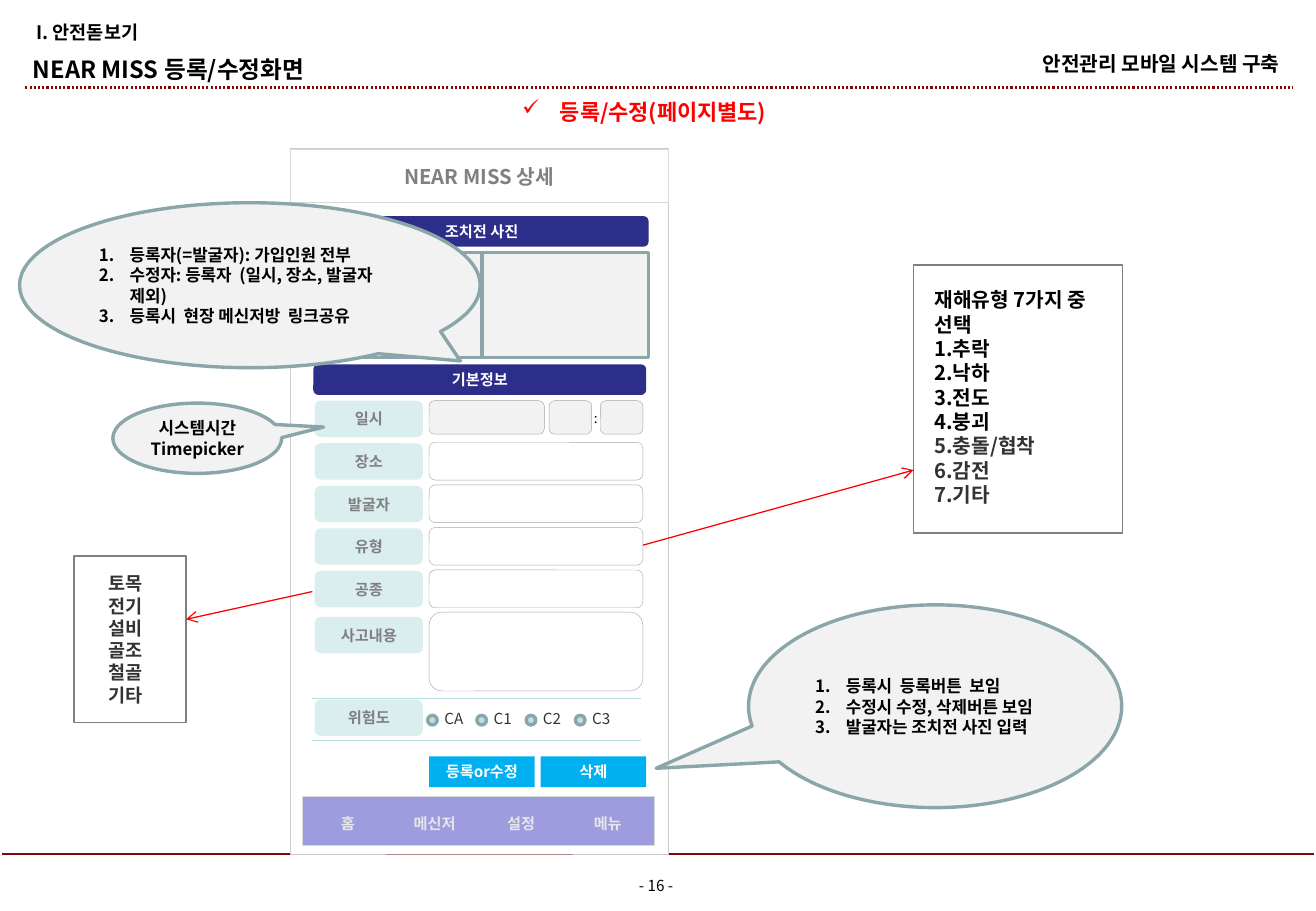
from dataclasses import dataclass, replace
from typing import Optional

from lxml.etree import SubElement
from pptx import Presentation
from pptx.dml.color import RGBColor
from pptx.enum.dml import MSO_LINE
from pptx.enum.shapes import MSO_CONNECTOR, MSO_SHAPE
from pptx.enum.text import MSO_ANCHOR, MSO_AUTO_SIZE, PP_ALIGN
from pptx.oxml.ns import qn
from pptx.util import Cm, Pt

FONT = "Noto Sans CJK KR"
COLORS = {
    "black": "000000", "white": "FFFFFF", "red": "FF0000", "maroon": "7D0905",
    "ink": "333333", "gray": "808080", "field": "A6A6A6", "frame": "CCCCCC",
    "header": "D9D9D9", "nav": "9C9CDF", "nav_text": "E6E6E6", "navy": "2D2D8A",
    "sky": "00B0F0", "label": "DAEDEF", "pale": "F2F2F2", "teal": "8AA6A8",
    "rule": "B6DCDF", "radio": "BBE0E3",
}


@dataclass(frozen=True)
class Area:
    left: float
    top: float
    width: float
    height: float


@dataclass(frozen=True)
class Style:
    size: float
    color: str = "black"
    bold: bool = True
    align: PP_ALIGN = PP_ALIGN.LEFT
    anchor: MSO_ANCHOR = MSO_ANCHOR.TOP
    margins: bool = True
    spacing: float = 1.0
    bullet: str = ""
    indent: float = 0


@dataclass(frozen=True)
class Look:
    fill: Optional[str] = None
    line: Optional[str] = None
    weight: float = 0


@dataclass(frozen=True)
class Callout:
    area: Area
    tip: tuple[float, float]
    lines: list[str]
    style: Style


def rgb(name: str) -> RGBColor:
    return RGBColor.from_string(COLORS[name])


def write(box, lines: list[str], style: Style, late_color: str = "", late_from: int = 0) -> None:
    frame = box.text_frame
    frame.auto_size = MSO_AUTO_SIZE.NONE
    frame.word_wrap = True
    frame.vertical_anchor = style.anchor
    if not style.margins:
        frame.margin_left = frame.margin_right = frame.margin_top = frame.margin_bottom = 0
    for number, line in enumerate(lines):
        para = frame.paragraphs[0] if number == 0 else frame.add_paragraph()
        para.text = line
        para.alignment = style.align
        para.line_spacing = style.spacing
        para.space_before = para.space_after = Pt(0)
        properties = para._p.get_or_add_pPr()
        properties.set("marL", str(Cm(style.indent)))
        properties.set("indent", str(-Cm(style.indent)))
        if style.bullet == "number":
            SubElement(properties, qn("a:buFont"), typeface="+mj-lt")
            SubElement(properties, qn("a:buAutoNum"), type="arabicPeriod")
        elif style.bullet:
            SubElement(properties, qn("a:buChar"), char=style.bullet)
        else:
            SubElement(properties, qn("a:buNone"))
        font = para.font
        font.size = Pt(style.size)
        font.bold = style.bold
        font.color.rgb = rgb(late_color if late_color and number >= late_from else style.color)
        font.name = FONT
        SubElement(properties.find(qn("a:defRPr")), qn("a:ea"), typeface=FONT)


def place(box, area: Area) -> None:
    box.left, box.top = Cm(area.left), Cm(area.top)
    box.width, box.height = Cm(area.width), Cm(area.height)


def add_text(page, area: Area, text: str, style: Style) -> None:
    box = page.shapes.add_textbox(0, 0, 0, 0)
    place(box, area)
    write(box, [text], style)


def add_box(page, area: Area, look: Look, text: str = "", style: Optional[Style] = None,
            kind: MSO_SHAPE = MSO_SHAPE.RECTANGLE):
    box = page.shapes.add_shape(kind, 0, 0, 0, 0)
    place(box, area)
    box.shadow.inherit = False
    if look.fill:
        box.fill.solid()
        box.fill.fore_color.rgb = rgb(look.fill)
    else:
        box.fill.background()
    if look.line:
        box.line.color.rgb = rgb(look.line)
        box.line.width = Pt(look.weight)
    else:
        box.line.fill.background()
    if style:
        write(box, [text], style)
    return box


def add_line(page, start: tuple[float, float], end: tuple[float, float], color: str,
             weight: float = 0.75, dotted: bool = False, arrow: bool = False) -> None:
    line = page.shapes.add_connector(
        MSO_CONNECTOR.STRAIGHT, Cm(start[0]), Cm(start[1]), Cm(end[0]), Cm(end[1]))
    line.line.color.rgb = rgb(color)
    line.line.width = Pt(weight)
    if dotted:
        line.line.dash_style = MSO_LINE.ROUND_DOT
    if arrow:
        SubElement(line.line._get_or_add_ln(), qn("a:tailEnd"), type="arrow")
    SubElement(line._element.spPr, qn("a:effectLst"))


CENTERED = Style(9, "white", align=PP_ALIGN.CENTER, anchor=MSO_ANCHOR.MIDDLE)
LABEL = replace(CENTERED, color="gray")
NUMBERED = Style(10, anchor=MSO_ANCHOR.MIDDLE, bullet="number", indent=0.64)
FIELD = Look(line="field", weight=0.25)
TIME_FIELD = replace(FIELD, fill="pale")
OUTLINED = Look("pale", "teal", 2)
LIST_FRAME = Look(line="gray", weight=1)
ROUND = MSO_SHAPE.ROUNDED_RECTANGLE
ROW_TOP, ROW_PITCH = 8.38, 0.89

CALLOUTS = [
    Callout(Area(2.36, 8.43, 3.53, 1.47), (0.748, -0.159), ["시스템시간Timepicker"],
            replace(CENTERED, size=10, color="black")),
    Callout(Area(15.65, 12.65, 7.8, 4.24), (-0.748, 0.306),
            ["등록시  등록버튼  보임", "수정시 수정, 삭제버튼 보임", "발굴자는 조치전 사진 입력"], NUMBERED),
    Callout(Area(0.41, 4.24, 9.63, 3.45), (0.457, 0.459),
            ["등록자(=발굴자): 가입인원 전부", "수정자: 등록자  (일시, 장소, 발굴자  제외)",
             "등록시  현장 메신저방  링크공유"], NUMBERED),
]


def draw_heading(page) -> None:
    title = page.shapes.title
    place(title, Area(0.43, 1.02, 9, 0.86))
    write(title, ["NEAR MISS 등록/수정화면"], Style(14))
    add_text(page, Area(0.76, 0.38, 9.02, 0.53), "I. 안전돋보기",
             Style(11, anchor=MSO_ANCHOR.MIDDLE, margins=False, spacing=1.1))
    add_text(page, Area(18.47, 1.02, 8.38, 0.61), "안전관리 모바일 시스템 구축 ",
             Style(12, align=PP_ALIGN.RIGHT, anchor=MSO_ANCHOR.MIDDLE, margins=False))
    add_text(page, Area(9.73, 1.93, 7.47, 0.81), "등록/수정(페이지별도)",
             Style(13, "red", align=PP_ALIGN.CENTER, bullet="✓", indent=0.79))
    add_line(page, (0.53, 1.83), (27.03, 1.83), "maroon", 1.25, dotted=True)
    add_line(page, (0.05, 17.86), (27.46, 17.86), "maroon")
    add_text(page, Area(12.9, 18.21, 1.7, 0.64), "- 16 - ",
             Style(9, bold=False, align=PP_ALIGN.CENTER))


def draw_phone(page) -> None:
    add_box(page, Area(6.07, 3.1, 7.9, 14.76), Look("white", "frame", 0.5))
    add_box(page, Area(6.07, 3.12, 7.9, 1.12), Look("white", "header", 0.5),
            "NEAR MISS 상세", replace(LABEL, size=12))
    for area, text in ((Area(6.58, 4.52, 6.98, 0.64), "조치전 사진"),
                       (Area(6.55, 7.62, 6.96, 0.64), "기본정보")):
        add_box(page, area, Look("navy"), text, CENTERED, ROUND)
    for left in (6.6, 10.08):
        add_box(page, Area(left, 5.28, 3.48, 2.2), OUTLINED)

    rows = [ROW_TOP + ROW_PITCH * row for row in range(5)]
    for top, text in zip(rows + [12.9, 14.63],
                         ("일시", "장소", "발굴자", "유형", "공종", "사고내용", "위험도")):
        add_box(page, Area(6.58, top, 2.26, 0.76), Look("label"), text, LABEL, ROUND)
    for left, width in ((8.97, 2.41), (11.48, 0.89), (12.55, 0.89)):
        add_box(page, Area(left, ROW_TOP, width, 0.7), TIME_FIELD, kind=ROUND)
    add_text(page, Area(11.86, 8.46, 1.19, 0.76), ":",
             Style(8, bold=False, align=PP_ALIGN.CENTER))
    for top, height in [(row - 0.02, 0.79) for row in rows[1:]] + [(12.8, 1.65)]:
        add_box(page, Area(8.97, top, 4.47, height), FIELD, kind=ROUND)

    for top in (14.6, 15.49):
        add_line(page, (6.53, top), (13.39, top), "rule")
    for column, text in enumerate(("CA", "C1", "C2", "C3")):
        left = 8.94 + 1.03 * column
        add_text(page, Area(left + 0.1, 14.71, 1.1, 0.64), text, Style(9, "ink", bold=False))
        add_box(page, Area(left, 14.96, 0.2, 0.2), Look("radio", "teal", 2), kind=MSO_SHAPE.OVAL)
    for left, text in ((8.97, "등록or수정"), (11.3, "삭제")):
        add_box(page, Area(left, 15.82, 2.21, 0.64), Look("sky"), text, CENTERED)

    add_box(page, Area(6.32, 16.66, 7.37, 1.02), Look("nav", "header", 0.5))
    for column, text in enumerate(("홈", "메신저", "설정", "메뉴")):
        add_text(page, Area(6.4 + 1.81 * column, 16.9, 1.75, 0.63), text,
                 replace(CENTERED, color="nav_text"))


def draw_notes(page) -> None:
    for callout in CALLOUTS:
        box = add_box(page, callout.area, OUTLINED, kind=MSO_SHAPE.OVAL_CALLOUT)
        box.adjustments[0], box.adjustments[1] = callout.tip
        write(box, callout.lines, callout.style)

    accident_types, trades = page.placeholders[1], page.placeholders[2]
    place(accident_types, Area(19.28, 5.89, 4.37, 4.88))
    write(accident_types, ["재해유형 7가지 중", "선택", "1.추락", "2.낙하", "3.전도", "4.붕괴",
                           "5.충돌/협착", "6.감전", "7.기타"], Style(12), "ink", 6)
    place(trades, Area(2.01, 11.84, 1.55, 3.07))
    write(trades, ["토목", "전기", "설비", "골조", "철골", "기타"], Style(11, "ink"))
    add_box(page, Area(19.1, 5.54, 4.37, 5.61), LIST_FRAME)
    add_box(page, Area(1.55, 11.63, 2.34, 3.48), LIST_FRAME)
    add_line(page, (13.44, 11.4), (19.1, 9.83), "red", arrow=True)
    add_line(page, (6.53, 12.37), (3.89, 12.95), "red", arrow=True)


def main() -> None:
    deck = Presentation()
    deck.slide_width, deck.slide_height = Cm(27.51), Cm(19.05)
    page = deck.slides.add_slide(deck.slide_layouts[3])
    draw_heading(page)
    draw_phone(page)
    draw_notes(page)
    deck.save("out.pptx")


if __name__ == "__main__":
    main()
